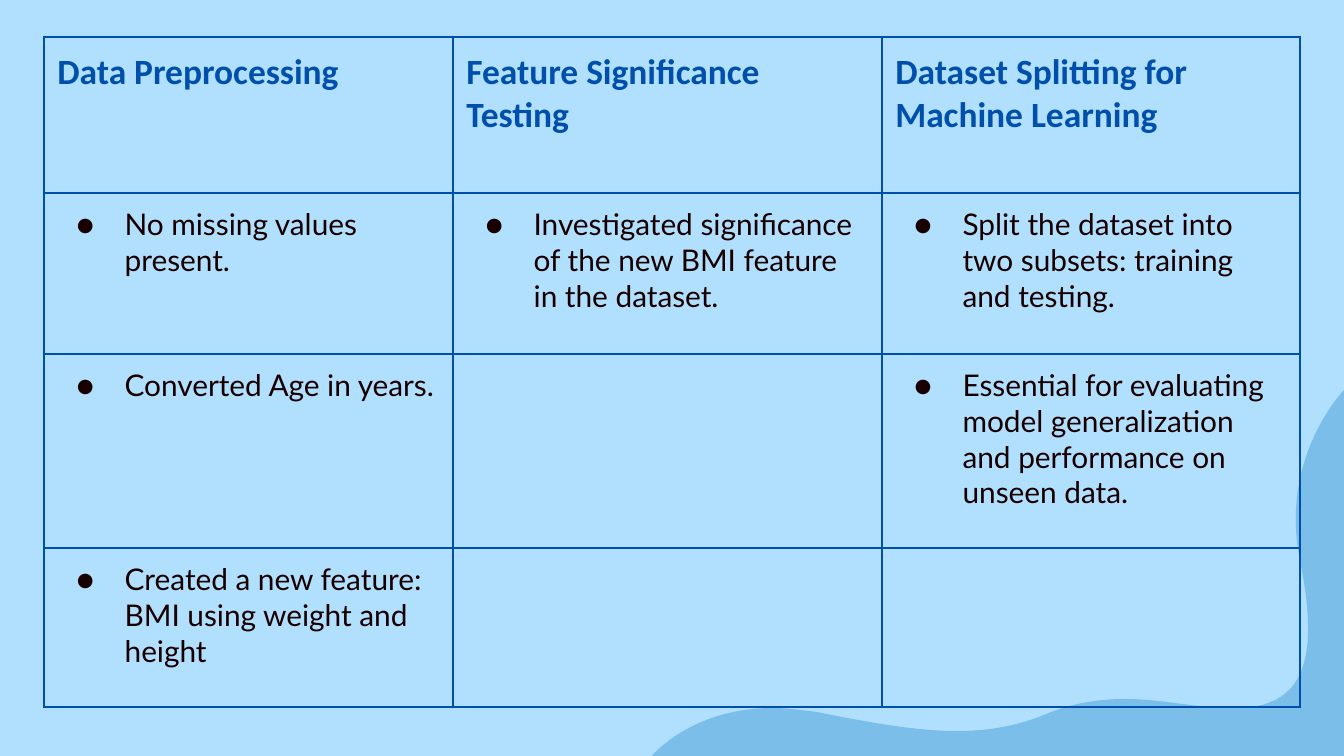
from lxml import etree
from pptx import Presentation
from pptx import util as u
from pptx.dml.color import RGBColor
from pptx.oxml import ns

SCALE = 914400 / 134.4
BLUE, INK, SKY, WAVE = "004FAB", "180000", "B1E0FF", "7CBEEA"


def px(value):
    return u.Emu(round(value * SCALE))


def paint(target, color):
    target.solid()
    target.fore_color.rgb = RGBColor.from_string(color)


deck = Presentation()
deck.slide_width, deck.slide_height = px(1344), px(756)
page = deck.slides.add_slide(deck.slide_layouts[6])
paint(page.background.fill, SKY)

curves = [
    [(1344, 390), (1279, 457), (1300, 560)],
    [(1320, 659), (1305, 708), (1235, 708)],
    [(1232, 708), (1228, 708), (1226, 708)],
    [(1192, 707), (1160, 699), (1125, 699)],
    [(1102, 699), (1078, 702), (1051, 712)],
    [(1019, 726), (989, 731), (957, 731)],
    [(919, 731), (876, 724), (817, 712)],
    [(801, 710), (786, 708), (773, 708)],
    [(689, 708), (650, 758), (650, 758)],
]
builder = page.shapes.build_freeform(1344, 390, scale=SCALE)
builder.add_line_segments([curve[-1] for curve in curves] + [(1344, 758)], close=True)
wave = builder.convert_to_shape()
wave.shadow.inherit = False
paint(wave.fill, WAVE)
wave.line.fill.background()
segments = list(wave._element.iter(ns.qn("a:lnTo")))
for segment, curve in zip(segments, curves):
    segment.tag = ns.qn("a:cubicBezTo")
    for index, (x, y) in enumerate(curve[:2]):
        handle = etree.Element(ns.qn("a:pt"), x=str(x - 650), y=str(y - 390))
        segment.insert(index, handle)

rows = [
    ["Data Preprocessing", "Feature Significance Testing", "Dataset Splitting for Machine Learning"],
    ["No missing values present.", "Investigated significance of the new BMI feature in the dataset.",
     "Split the dataset into two subsets: training and testing."],
    ["Converted Age in years.", "",
     "Essential for evaluating model generalization and performance on unseen data."],
    ["Created a new feature: BMI using weight and height", "", ""],
]
widths, heights = [409, 429, 418], [156, 161, 194, 159]
table = page.shapes.add_table(4, 3, px(44), px(37), px(sum(widths)), px(sum(heights))).table
table.first_row = table.horz_banding = False
for column, width in zip(table.columns, widths):
    column.width = px(width)
for row, height in zip(table.rows, heights):
    row.height = px(height)

for r, words in enumerate(rows):
    for c, wording in enumerate(words):
        cell = table.cell(r, c)
        cell.margin_left = cell.margin_right = cell.margin_top = cell.margin_bottom = u.Inches(0.1)
        props = cell._tc.get_or_add_tcPr()
        for side in ("a:lnL", "a:lnR", "a:lnT", "a:lnB"):
            border = etree.SubElement(props, ns.qn(side), w=str(u.Pt(1.5)))
            solid = etree.SubElement(border, ns.qn("a:solidFill"))
            etree.SubElement(solid, ns.qn("a:srgbClr"), val=BLUE)
        cell.fill.background()
        if not wording:
            continue
        header = r == 0
        para = cell.text_frame.paragraphs[0]
        if not header:
            layout = para._p.get_or_add_pPr()
            layout.set("marL", str(u.Inches(0.5)))
            layout.set("indent", str(u.Inches(-0.36)))
            tint = etree.SubElement(layout, ns.qn("a:buClr"))
            etree.SubElement(tint, ns.qn("a:srgbClr"), val=INK)
            etree.SubElement(layout, ns.qn("a:buFont"), typeface="Lato")
            etree.SubElement(layout, ns.qn("a:buChar"), char="●")
        span = para.add_run()
        span.text = wording
        span.font.name = "Calibri" if header else "Lato"
        span.font.size = u.Pt(19 if header else 16)
        span.font.bold = header
        paint(span.font.fill, BLUE if header else INK)

deck.save("out.pptx")
